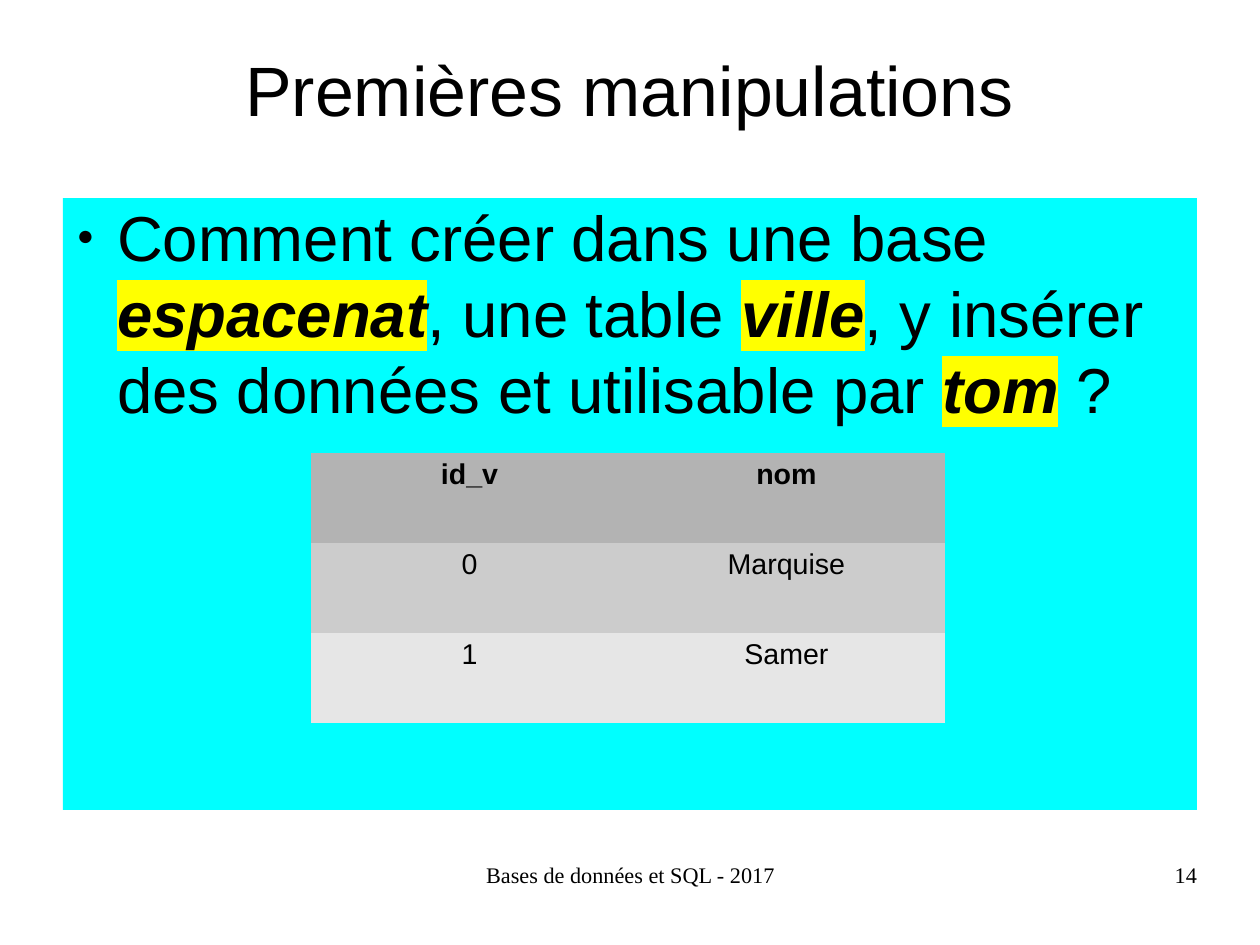
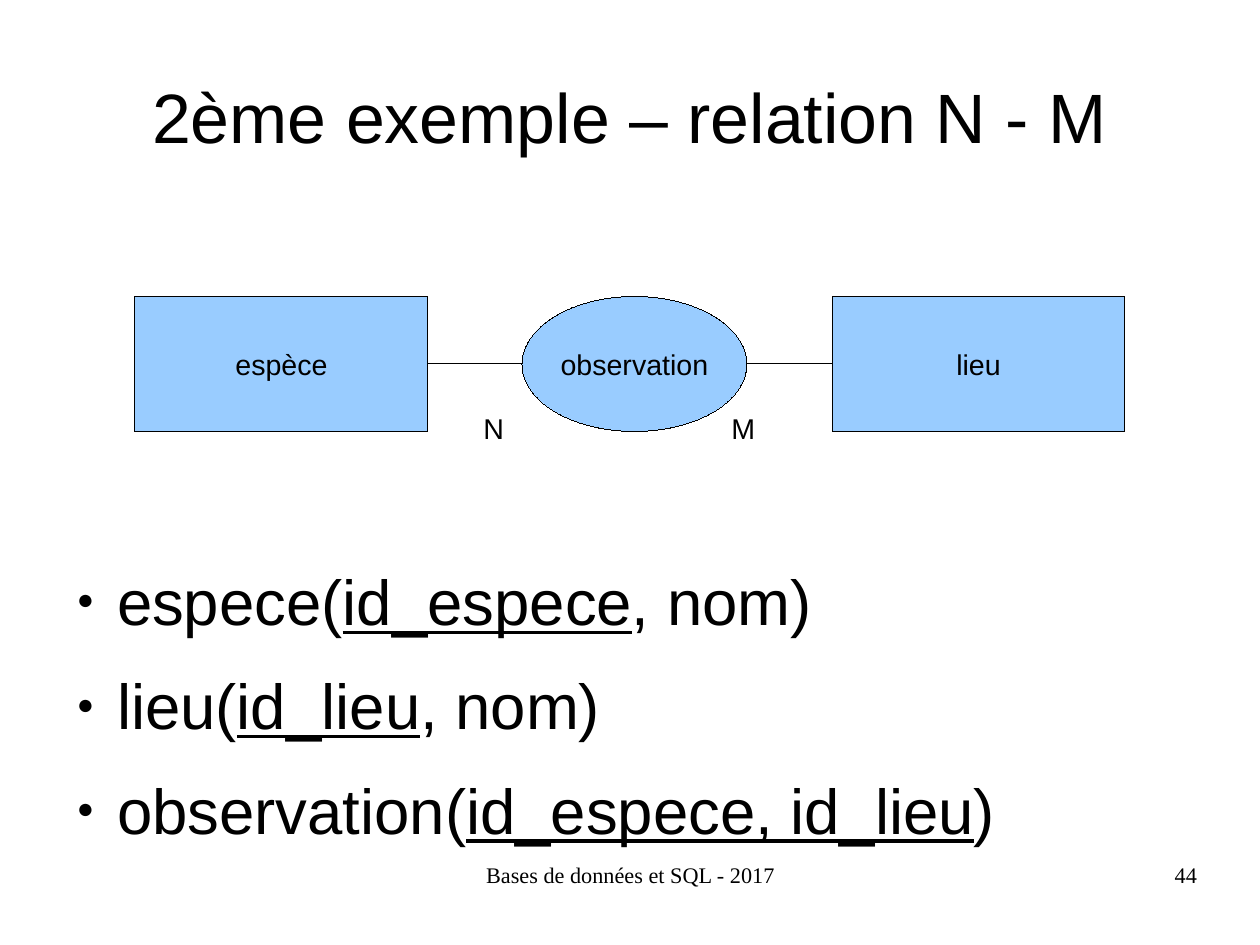
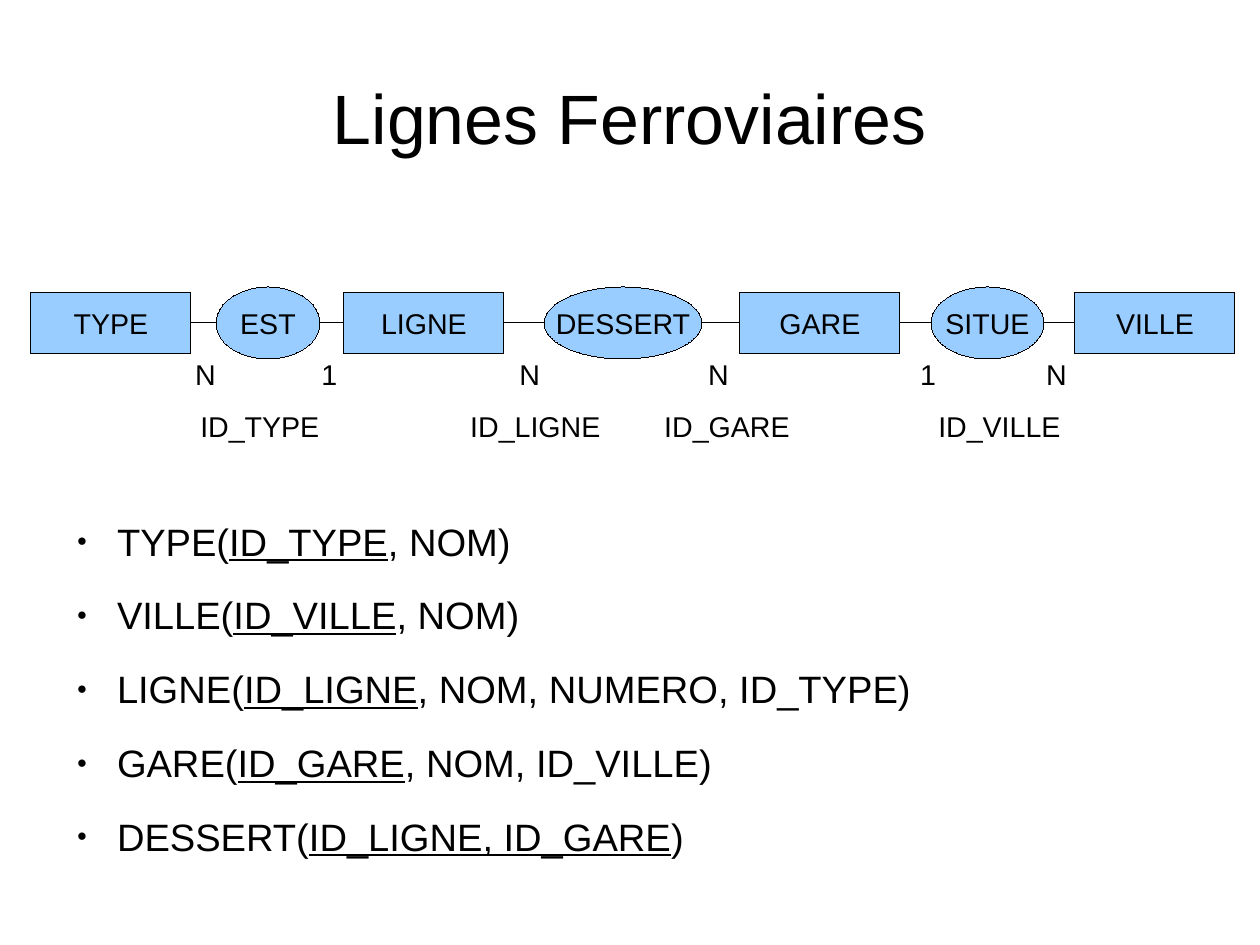
from itertools import pairwise

from lxml import etree
from pptx import Presentation
from pptx import util as u
from pptx.dml.color import RGBColor
from pptx.enum import shapes, text
from pptx.oxml.ns import qn

INK, SKY, CYAN, MARK = "000000", "99CCFF", "00FFFF", "FFFF00"
GREYS = ["B3B3B3", "CCCCCC", "E6E6E6"]
FOOT = "Bases de données et SQL - 2017"
KIND = shapes.MSO_SHAPE
MID = text.MSO_ANCHOR.MIDDLE
LEFT, CENTER, RIGHT = text.PP_ALIGN.LEFT, text.PP_ALIGN.CENTER, text.PP_ALIGN.RIGHT

SLIDES = [
    {
        "title": ("Premières manipulations", 43, 91),
        "body": (198, 612, 40, CYAN, [
            [("Comment créer dans une base ", ""), ("espacenat", "mark"),
             (", une table ", ""), ("ville", "mark"),
             (", y insérer des données et utilisable par ", ""),
             ("tom", "mark"), (" ?", "")],
        ]),
        "table": [("id_v", "nom"), ("0", "Marquise"), ("1", "Samer")],
        "page": "14",
    },
    {
        "title": ("2ème exemple – relation N - M", 43, 146),
        "body": (562, 282, 40, None, [
            [("espece(", ""), ("id_espece", "key"), (", nom)", "")],
            [("lieu(", ""), ("id_lieu", "key"), (", nom)", "")],
            [("observation(", ""), ("id_espece, id_lieu", "key"), (")", "")],
        ]),
        "chain": (364, 135, 135, [
            ("espèce", 135, 293), ("observation", 522, 225), ("lieu", 832, 293)]),
        "tags": [(405, [("N", 472, 67), ("M", 720, 67)])],
        "page": "44",
    },
    {
        "title": ("Lignes Ferroviaires", 38, 158),
        "body": (518, 363, 24, None, [
            [("TYPE(", ""), ("ID_TYPE", "key"), (", NOM)", "")],
            [("VILLE(", ""), ("ID_VILLE", "key"), (", NOM)", "")],
            [("LIGNE(", ""), ("ID_LIGNE", "key"), (", NOM, NUMERO, ID_TYPE)", "")],
            [("GARE(", ""), ("ID_GARE", "key"), (", NOM, ID_VILLE)", "")],
            [("DESSERT(", ""), ("ID_LIGNE, ID_GARE", "key"), (")", "")],
        ]),
        "chain": (323, 61, 72, [
            ("TYPE", 31, 160), ("EST", 216, 104), ("LIGNE", 344, 160),
            ("DESSERT", 544, 158), ("GARE", 740, 160), ("SITUE", 931, 113),
            ("VILLE", 1075, 160)]),
        "tags": [
            (351, [("N", 184, 45), ("1", 310, 32), ("N", 508, 49),
                   ("N", 697, 35), ("1", 909, 35), ("N", 1035, 45)]),
            (403, [("ID_TYPE", 189, 158), ("ID_LIGNE", 459, 158),
                   ("ID_GARE", 653, 158), ("ID_VILLE", 927, 158)]),
        ],
    },
]


def px(n):
    return u.Emu(int(n * 8000))


def rgb(code):
    return RGBColor.from_string(code)


def place(shape, *box):
    shape.left, shape.top, shape.width, shape.height = map(px, box)


def bullet(para):
    props = para._p.get_or_add_pPr()
    props.set("marL", str(px(54)))
    props.set("indent", str(px(-40)))
    color = etree.SubElement(props, qn("a:buClr"))
    etree.SubElement(color, qn("a:srgbClr"), val=INK)
    etree.SubElement(props, qn("a:buSzPct"), val="45000")
    etree.SubElement(props, qn("a:buChar"), char="●")


def write(frame, lines, size=18, font="Arial", align=LEFT, bold=False,
          wrap=True, flush=False, anchor=None, dots=False, after=0):
    if isinstance(lines, str):
        lines = [[(lines, "")]]
    frame.word_wrap = wrap
    frame.auto_size = text.MSO_AUTO_SIZE.NONE
    if anchor is not None:
        frame.vertical_anchor = anchor
    if flush:
        frame.margin_left = frame.margin_right = 0
        frame.margin_top = frame.margin_bottom = 0
    for i, line in enumerate(lines):
        para = frame.add_paragraph() if i else frame.paragraphs[0]
        if dots:
            bullet(para)
        para.alignment = align
        para.space_before = u.Pt(0)
        para.space_after = u.Pt(after)
        for words, style in line:
            run = para.add_run()
            run.text = words
            face = run.font
            face.size = u.Pt(size)
            face.color.rgb = rgb(INK)
            face.bold = bold or style == "mark"
            face.italic = style == "mark"
            face.underline = style == "key"
            if style == "mark":
                glow = etree.SubElement(run._r.get_or_add_rPr(), qn("a:highlight"))
                etree.SubElement(glow, qn("a:srgbClr"), val=MARK)
            face.name = font


def label(slide, words, *box, **style):
    write(slide.shapes.add_textbox(*map(px, box)).text_frame, words, **style)


def edge(shape):
    shape.line.color.rgb = rgb(INK)
    shape.line.width = u.Emu(1)


def node(slide, kind, words, *box):
    shape = slide.shapes.add_shape(kind, *map(px, box))
    shape.shadow.inherit = False
    shape.fill.solid()
    shape.fill.fore_color.rgb = rgb(SKY)
    edge(shape)
    write(shape.text_frame, words, align=CENTER, anchor=MID, wrap=False)
    return shape


def chain(slide, mid, high, tall, items):
    nodes = []
    for i, (words, left, width) in enumerate(items):
        kind, size = (KIND.OVAL, tall) if i % 2 else (KIND.RECTANGLE, high)
        nodes.append(node(slide, kind, words, left, mid - size / 2, width, size))
    for i, (one, two) in enumerate(pairwise(nodes)):
        link = slide.shapes.add_connector(
            shapes.MSO_CONNECTOR.STRAIGHT, one.left + one.width, px(mid), two.left, px(mid))
        if i % 2:
            link.end_connect(two, 1)
        else:
            link.begin_connect(one, 3)
        edge(link)
        etree.SubElement(link.element.spPr, qn("a:effectLst"))


def grid(slide, rows):
    frame = slide.shapes.add_table(len(rows), len(rows[0]), *map(px, (311, 453, 634, 270)))
    for style in frame.element.iter(qn("a:tableStyleId")):
        style.text = "{2D5ABB26-0587-4C30-8999-92F81FD0307C}"
    for r, row in enumerate(rows):
        for c, words in enumerate(row):
            cell = frame.table.cell(r, c)
            cell.fill.solid()
            cell.fill.fore_color.rgb = rgb(GREYS[r])
            write(cell.text_frame, words, align=CENTER, bold=r == 0)


def build(deck, data):
    slide = deck.slides.add_slide(deck.slide_layouts[1])
    head, body = slide.placeholders
    words, top, high = data["title"]
    place(head, 63, top, 1134, high)
    write(head.text_frame, words, size=44, align=CENTER, anchor=MID, flush=True)
    top, high, size, fill, lines = data["body"]
    place(body, 63, top, 1134, high)
    if fill:
        body.fill.solid()
        body.fill.fore_color.rgb = rgb(fill)
    write(body.text_frame, lines, size=size, flush=True, dots=True, after=17.7)
    if "table" in data:
        grid(slide, data["table"])
    if "chain" in data:
        chain(slide, *data["chain"])
    for top, tags in data.get("tags", []):
        for words, left, width in tags:
            label(slide, words, left, top, width, 43)
    if "page" in data:
        foot = {"size": 14, "font": "Times New Roman", "flush": True}
        label(slide, FOOT, 431, 861, 399, 65, align=CENTER, **foot)
        label(slide, data["page"], 903, 861, 294, 65, align=RIGHT, **foot)


def main():
    deck = Presentation()
    deck.slide_width, deck.slide_height = px(1260), px(945)
    for data in SLIDES:
        build(deck, data)
    deck.save("out.pptx")


if __name__ == "__main__":
    main()
